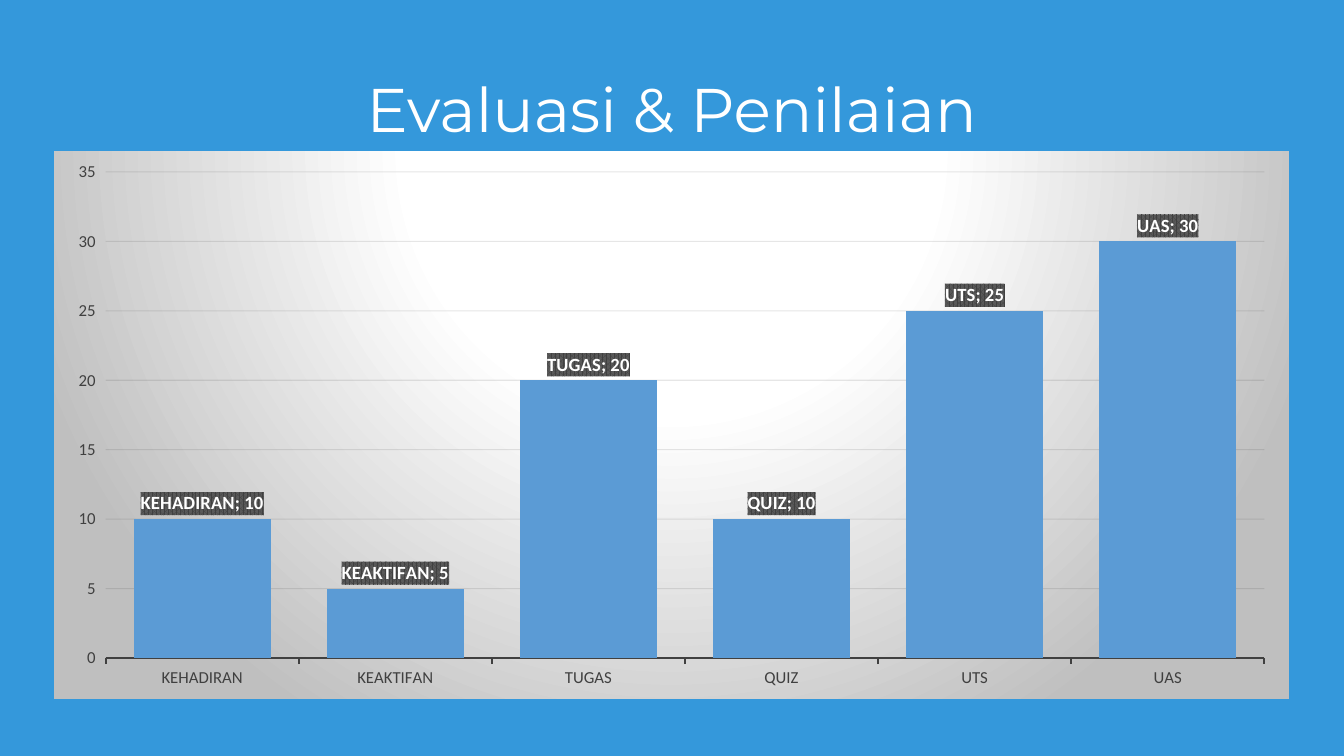
from lxml import etree
from pptx import Presentation
from pptx import util as u
from pptx.chart import data
from pptx.dml.color import RGBColor
from pptx.enum import chart as ch, text
from pptx.oxml import ns

BLUE = RGBColor(0x34, 0x98, 0xDB)
BAR = RGBColor(0x5B, 0x9B, 0xD5)
WHITE = RGBColor(0xFF, 0xFF, 0xFF)
BLACK = RGBColor(0, 0, 0)
GRAY = RGBColor(0x40, 0x40, 0x40)
GRID = RGBColor(0x0D, 0x0D, 0x0D)
SILVER = RGBColor(0xBF, 0xBF, 0xBF)
SLATE = RGBColor(0x59, 0x59, 0x59)
EMU_PER_PX = 12192000 / 1344

SCORES = {"KEHADIRAN": 10, "KEAKTIFAN": 5, "TUGAS": 20,
          "QUIZ": 10, "UTS": 25, "UAS": 30}


def px(n):
    return u.Emu(round(n * EMU_PER_PX))


def style_font(font, name, size, color, bold=False):
    font.name = name
    font.size = u.Pt(size)
    font.bold = bold
    font.color.rgb = color


def write(tf, content, *, font, size, color, align, spacing=1.0):
    p = tf.paragraphs[0]
    p.alignment = align
    p.line_spacing = spacing
    r = p.add_run()
    r.text = content
    style_font(r.font, font, size, color)


def shape_properties(fill):
    return etree.fromstring(
        f'<c:spPr {ns.nsdecls("c", "a")}>{fill}<a:ln><a:noFill/></a:ln></c:spPr>')


def radial_fill():
    stops = "".join(
        f'<a:gs pos="{pos * 1000}"><a:srgbClr val="{color}"/></a:gs>'
        for pos, color in ((0, WHITE), (39, WHITE), (100, SILVER)))
    return (f'<a:gradFill><a:gsLst>{stops}</a:gsLst><a:path path="circle">'
            '<a:fillToRect l="50000" t="-80000" r="50000" b="180000"/>'
            '</a:path></a:gradFill>')


def pattern_fill():
    return (f'<a:pattFill prst="pct75"><a:fgClr><a:srgbClr val="{GRAY}"/></a:fgClr>'
            f'<a:bgClr><a:srgbClr val="{SLATE}"/></a:bgClr></a:pattFill>')


class Deck:
    heading_font = "Montserrat"
    body_font = "Calibri"

    def __init__(self, width, height):
        self.prs = Presentation()
        self.prs.slide_width, self.prs.slide_height = px(width), px(height)
        self.s = None

    def slide(self, color):
        self.s = self.prs.slides.add_slide(self.prs.slide_layouts[6])
        self.s.background.fill.solid()
        self.s.background.fill.fore_color.rgb = color

    def title(self, content, x, y, w, h):
        tf = self.s.shapes.add_textbox(px(x), px(y), px(w), px(h)).text_frame
        tf.word_wrap = True
        tf.vertical_anchor = text.MSO_ANCHOR.MIDDLE
        write(tf, content, font=self.heading_font, size=44, color=WHITE,
              align=text.PP_ALIGN.CENTER, spacing=0.9)

    def column_chart(self, scores, x, y, w, h):
        cd = data.CategoryChartData()
        cd.categories = list(scores)
        cd.add_series("Series 1", list(scores.values()))
        chart = self.s.shapes.add_chart(
            ch.XL_CHART_TYPE.COLUMN_CLUSTERED, px(x), px(y), px(w), px(h), cd).chart
        chart.has_title = chart.has_legend = False
        style_font(chart.font, self.body_font, 10, BLACK)
        chart.element.find(ns.qn("c:txPr")).addprevious(shape_properties(radial_fill()))

        plot = chart.plots[0]
        plot.gap_width = 41
        plot.vary_by_categories = False
        fill = plot.series[0].format.fill
        fill.solid()
        fill.fore_color.rgb = BAR
        self.axes(chart)
        self.labels(plot.series[0].data_labels)

    def axes(self, chart):
        cat, val = chart.category_axis, chart.value_axis
        for axis in (cat, val):
            axis.major_tick_mark = ch.XL_TICK_MARK.OUTSIDE
            style_font(axis.tick_labels.font, self.body_font, 12, GRAY)
        cat.format.line.color.rgb = GRAY
        cat.format.line.width = u.Pt(1.5)
        val.format.line.fill.background()
        val.minimum_scale, val.maximum_scale, val.major_unit = 0, 35, 5
        val.has_major_gridlines = True
        line = val.major_gridlines.format.line
        line.color.rgb = GRID
        line.width = u.Pt(0.75)
        grid = val.major_gridlines.format.line.fill.fore_color
        grid.rgb = GRID
        gridlines = chart.element.find(".//" + ns.qn("c:majorGridlines"))
        color = gridlines.find(".//" + ns.qn("a:srgbClr"))
        etree.SubElement(color, ns.qn("a:alpha")).set("val", "10000")

    def labels(self, labels):
        labels.show_value = labels.show_category_name = True
        labels.position = ch.XL_LABEL_POSITION.OUTSIDE_END
        style_font(labels.font, self.body_font, 13.3, WHITE, bold=True)
        root = labels.font._element.getparent().getparent().getparent().getparent()
        root.find(ns.qn("c:txPr")).addprevious(shape_properties(pattern_fill()))


def main():
    deck = Deck(1344, 756)
    deck.slide(BLUE)
    deck.title("Evaluasi & Penilaian", 92, 40, 1160, 146)
    deck.column_chart(SCORES, 54, 151, 1235, 548)
    deck.prs.save("out.pptx")


if __name__ == "__main__":
    main()
